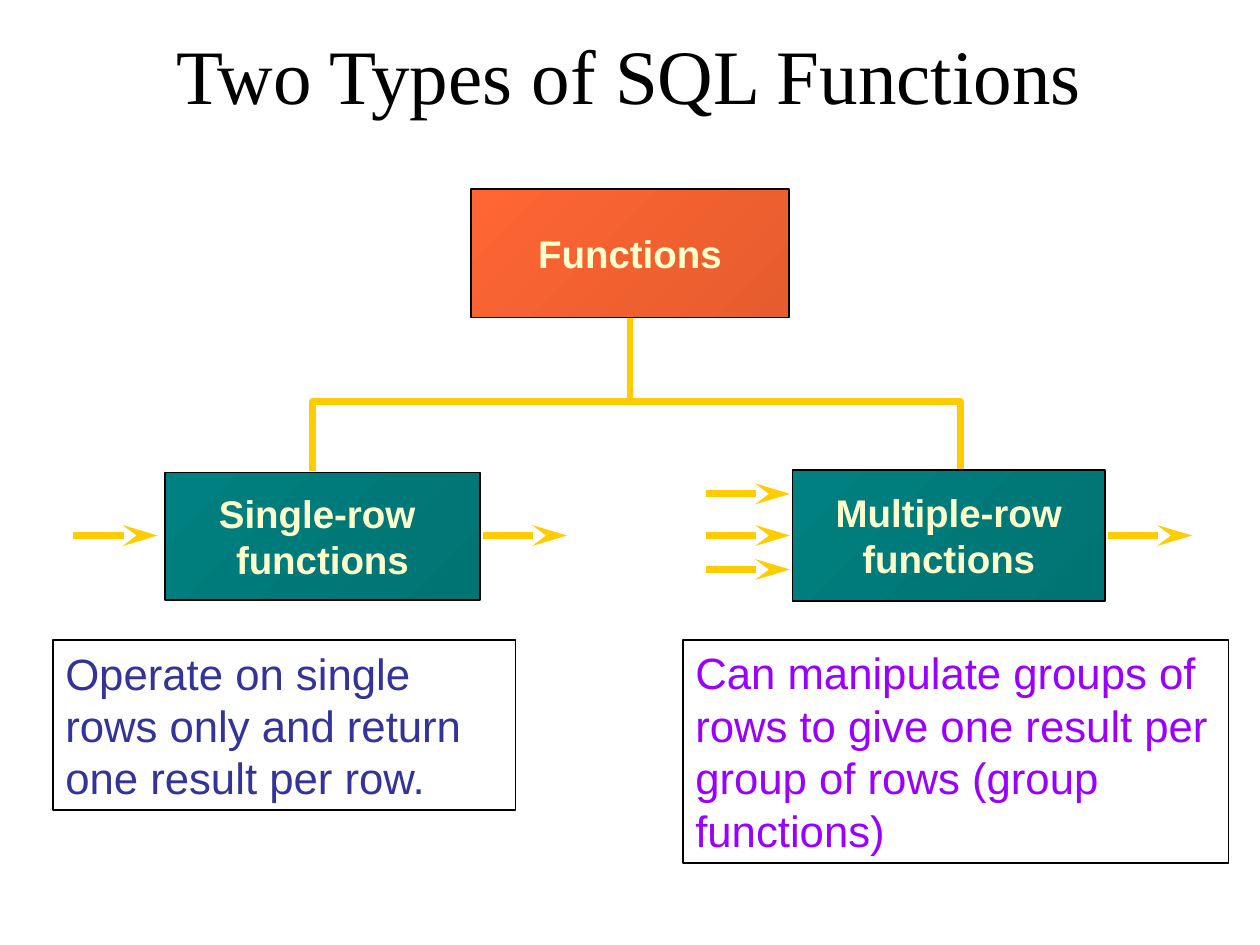
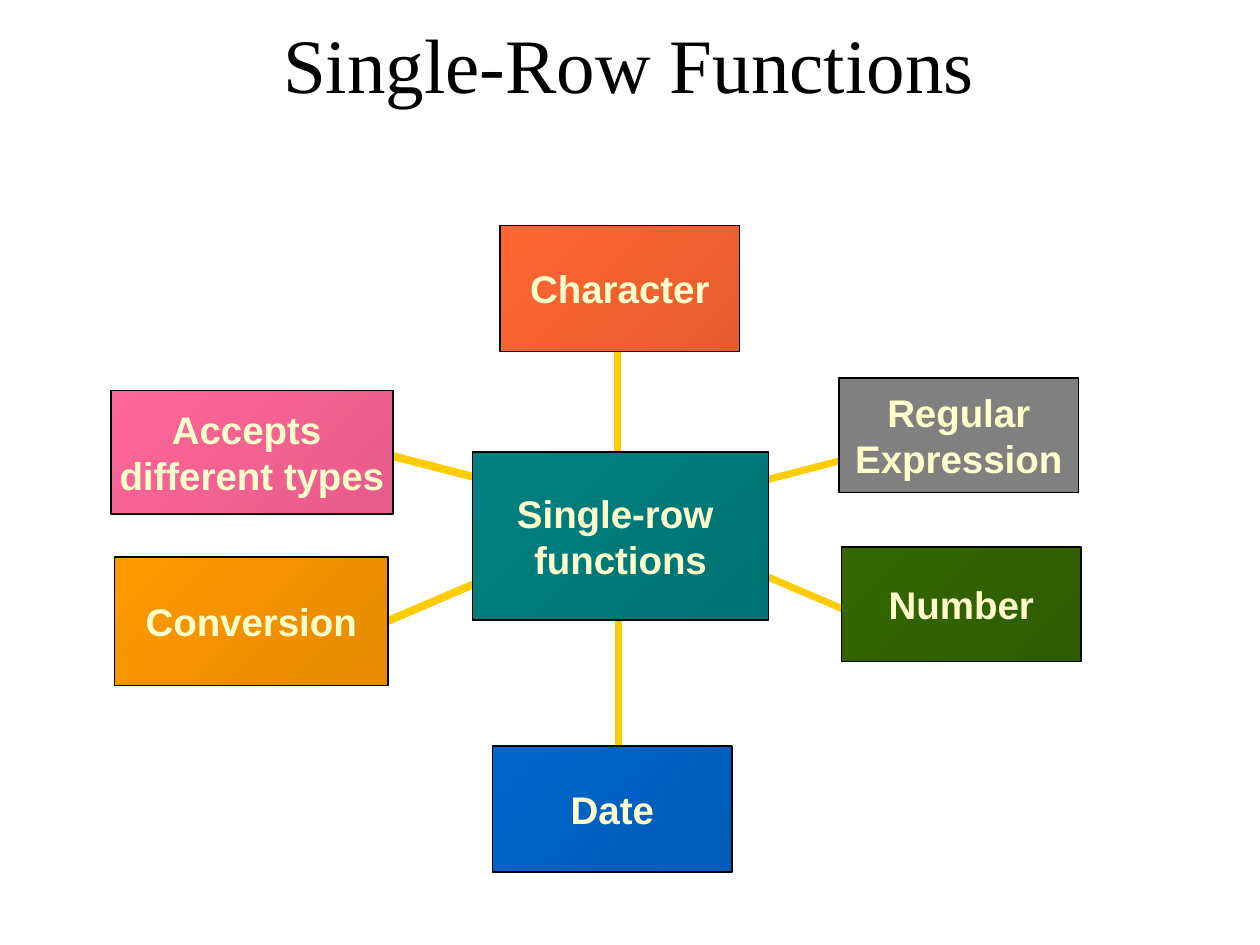
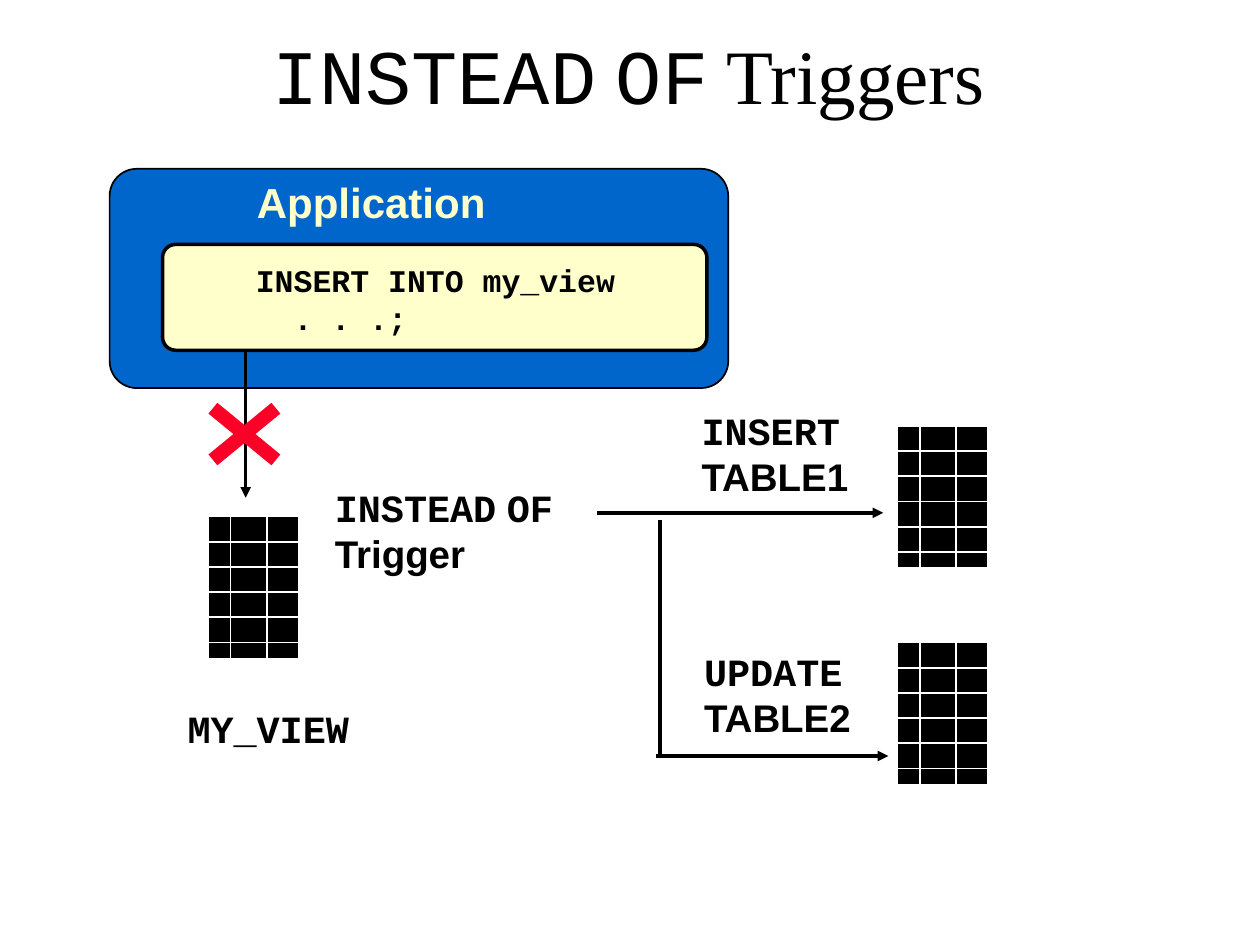
from dataclasses import dataclass

from lxml import etree
from pptx import Presentation
from pptx import util as u
from pptx.dml.color import RGBColor
from pptx.enum import shapes, text
from pptx.oxml.ns import qn


@dataclass(frozen=True)
class Theme:
    black: str = "000000"
    white: str = "FFFFFF"
    cream: str = "FFFFCC"
    gold: str = "FFCC00"
    orange: str = "FF6633"
    amber: str = "FF9900"
    teal: str = "008080"
    green: str = "336600"
    blue: str = "0066CC"
    pink: str = "FF6699"
    gray: str = "808080"
    red: str = "FC0128"
    indigo: str = "333399"
    violet: str = "9900FF"
    sans: str = "Arial"
    serif: str = "Times New Roman"
    mono: str = "Courier New"
    title_size: float = 44
    note_size: float = 25
    heading_size: float = 24
    label_size: float = 22
    code_size: float = 18
    branch_width: float = 4
    flow_width: float = 2


THEME = Theme()
RECT = shapes.MSO_SHAPE.RECTANGLE
ROUNDED = shapes.MSO_SHAPE.ROUNDED_RECTANGLE


def rgb(color):
    return RGBColor.from_string(color)


def inches(values):
    return [u.Inches(value) for value in values]


def darker(color):
    return RGBColor(*(round(channel * 0.9) for channel in rgb(color)))


def write(frame, lines, font, size, color, bold=False, align=text.PP_ALIGN.LEFT, wrap=True):
    """Fill a frame; a line is a string or a list of (words, font) pairs."""
    frame.word_wrap = wrap
    for index, line in enumerate(lines):
        paragraph = frame.paragraphs[0] if index == 0 else frame.add_paragraph()
        paragraph.alignment = align
        style = paragraph.font
        style.name, style.size, style.bold = font, u.Pt(size), bold
        style.color.rgb = rgb(color)
        if isinstance(line, str):
            paragraph.add_run().text = line
            continue
        for words, run_font in line:
            run = paragraph.add_run()
            run.text = words
            run.font.name = run_font


def keyword_line(keyword, rest, font):
    """Runs with the keyword's words in monospace, all spaces and the rest in font."""
    runs = []
    for word in keyword.split():
        runs += [(word, THEME.mono), (" ", font)]
    return runs + [(rest, font)]


def add_titled_slide(deck, title, top=0.17):
    slide = deck.slides.add_slide(deck.slide_layouts[5])
    holder = slide.shapes.title
    holder.left, holder.top, holder.width, holder.height = inches((0.94, top, 8.1, 0.96))
    holder.text_frame.vertical_anchor = text.MSO_ANCHOR.TOP
    write(holder.text_frame, [title], THEME.serif, THEME.title_size, THEME.black,
          align=text.PP_ALIGN.CENTER)
    return slide


def add_panel(slide, box, fill=None, outline=THEME.black, width=1, kind=RECT):
    panel = slide.shapes.add_shape(kind, *inches(box))
    panel.shadow.inherit = False
    if kind == ROUNDED:
        panel.adjustments[0] = 0.124
    if fill:
        panel.fill.solid()
        panel.fill.fore_color.rgb = rgb(fill)
    else:
        panel.fill.background()
    panel.line.color.rgb = rgb(outline)
    panel.line.width = u.Pt(width)
    return panel


def add_node(slide, box, lines, color, shaded=True):
    """Diagram box, shaded from the colour at top left to a darker tone."""
    node = add_panel(slide, box, color)
    if shaded:
        node.fill.gradient()
        node.fill.gradient_angle = 315
        start, end = node.fill.gradient_stops
        start.position, end.position = 0, 1
        start.color.rgb, end.color.rgb = rgb(color), darker(color)
    node.text_frame.vertical_anchor = text.MSO_ANCHOR.MIDDLE
    write(node.text_frame, lines, THEME.sans, THEME.label_size, THEME.cream, True,
          text.PP_ALIGN.CENTER, wrap=False)
    return node


def add_note(slide, box, words, color):
    note = add_panel(slide, box, width=0.75)
    note.text_frame.vertical_anchor = text.MSO_ANCHOR.TOP
    write(note.text_frame, [words], THEME.sans, THEME.note_size, color)


def add_label(slide, box, line, size=THEME.label_size, color=THEME.black, wrap=True):
    label = slide.shapes.add_textbox(*inches(box))
    write(label.text_frame, [line], THEME.sans, size, color, True, wrap=wrap)


def add_line(slide, start, end, color, width, head=None, head_length="med"):
    line = slide.shapes.add_connector(
        shapes.MSO_CONNECTOR.STRAIGHT, *inches((*start, *end)))
    line.line.color.rgb = rgb(color)
    line.line.width = u.Pt(width)
    if head:
        etree.SubElement(line.line._get_or_add_ln(), qn("a:tailEnd"),
                         type=head, w="med", len=head_length)
    etree.SubElement(line._element.spPr, qn("a:effectLst"))
    return line


def add_row_arrow(slide, left, y):
    add_line(slide, (left, y), (left + 0.67, y), THEME.gold, THEME.branch_width,
             "stealth", "lg")


def add_flow(slide, start, end, head="triangle"):
    add_line(slide, start, end, THEME.black, THEME.flow_width, head)


def add_table_icon(slide, left, top):
    width, height, row_height = 0.72, 1.13, 0.2
    add_panel(slide, (left, top, width, height), THEME.black, THEME.white)
    for offset in (0.18, 0.47):
        x = left + offset
        add_line(slide, (x, top), (x, top + height), THEME.white, 1)
    for row in range(1, 6):
        y = top + row * row_height
        add_line(slide, (left, y), (left + width, y), THEME.white, 1)


def add_fork(slide, points):
    first, *others = [inches(point) for point in points]
    builder = slide.shapes.build_freeform(*first)
    builder.add_line_segments(others, close=False)
    fork = builder.convert_to_shape()
    fork.shadow.inherit = False
    fork.fill.background()
    fork.line.color.rgb = rgb(THEME.gold)
    fork.line.width = u.Pt(THEME.branch_width)


def build_function_types(deck):
    slide = add_titled_slide(deck, "Two Types of SQL Functions")
    trunk = add_line(slide, (5, 2.52), (5, 3.21), THEME.gold, THEME.branch_width)
    add_fork(slide, [(2.48, 3.74), (2.48, 3.19), (7.62, 3.19), (7.62, 3.78)])
    functions = add_node(slide, (3.74, 1.5, 2.52, 1.02), ["Functions"], THEME.orange)
    trunk.begin_connect(functions, 2)
    add_node(slide, (1.31, 3.75, 2.5, 1.01), ["Single-row ", "functions"], THEME.teal)
    add_node(slide, (6.29, 3.73, 2.48, 1.04), ["Multiple-row", "functions"], THEME.teal)
    for left, y in [(0.58, 4.25), (3.83, 4.25), (8.79, 4.25),
                    (5.6, 3.92), (5.6, 4.25), (5.6, 4.52)]:
        add_row_arrow(slide, left, y)
    add_note(slide, (0.42, 5.08, 3.67, 1.35),
             "Operate on single rows only and return one result per row.", THEME.indigo)
    add_note(slide, (5.42, 5.08, 4.33, 1.77),
             "Can manipulate groups of rows to give one result per group of rows "
             "(group functions)", THEME.violet)


def build_single_row_functions(deck):
    slide = add_titled_slide(deck, "Single-Row Functions", top=0.08)
    spokes = [
        ((5.91, 4.5), (7.08, 5), 4),
        ((2.91, 5), (4.08, 4.5), 4.5),
        ((4.91, 6.14), (4.91, 4.59), 4),
        ((4.9, 4.11), (4.9, 2.56), 4),
        ((5.14, 4.14), (3, 3.59), 4.5),
        ((4.92, 4.11), (7.12, 3.54), 4),
    ]
    for start, end, width in spokes:
        add_line(slide, start, end, THEME.gold, width)
    nodes = [
        ((0.91, 4.42, 2.17, 1.02), ["Conversion"], THEME.amber),
        ((3.97, 1.79, 1.9, 1), ["Character"], THEME.orange),
        ((6.68, 4.34, 1.9, 0.91), ["Number"], THEME.green),
        ((3.91, 5.92, 1.9, 1), ["Date"], THEME.blue),
        ((0.88, 3.1, 2.24, 0.98), ["Accepts ", "different types"], THEME.pink),
        ((3.75, 3.59, 2.35, 1.33), ["Single-row ", "functions"], THEME.teal),
    ]
    for box, lines, color in nodes:
        add_node(slide, box, lines, color)
    add_node(slide, (6.66, 3, 1.9, 0.91), ["Regular", "Expression"], THEME.gray,
             shaded=False)


def build_instead_of_triggers(deck):
    slide = add_titled_slide(deck, keyword_line("INSTEAD OF", "Triggers", THEME.serif))
    add_panel(slide, (0.87, 1.34, 4.91, 1.74), THEME.blue, kind=ROUNDED)
    add_label(slide, (1.94, 1.35, 2.02, 0.5), "Application",
              THEME.heading_size, THEME.cream, wrap=False)
    statement = add_panel(slide, (1.29, 1.94, 4.32, 0.84), THEME.cream,
                          width=2, kind=ROUNDED)
    frame = statement.text_frame
    frame.vertical_anchor = text.MSO_ANCHOR.TOP
    frame.margin_top = frame.margin_bottom = u.Inches(0.1)
    frame.margin_left = u.Inches(0.71)
    write(frame, ["INSERT INTO my_view", "  . . .;"], THEME.mono, THEME.code_size,
          THEME.black, True)

    add_flow(slide, (1.95, 2.78), (1.95, 3.95))
    for bottom_x, top_x in [(1.69, 2.19), (2.19, 1.69)]:
        add_line(slide, (bottom_x, 3.65), (top_x, 3.24), THEME.red, 8)
    for left, top in [(1.65, 4.1), (7.12, 3.38), (7.12, 5.1)]:
        add_table_icon(slide, left, top)

    add_label(slide, (1.39, 5.55, 3, 0.47), [("MY_VIEW", THEME.mono)])
    # Each label is just narrow enough to wrap after its keyword.
    for box, keyword, name in [((2.56, 3.79, 2.8, 0.83), "INSTEAD OF", "Trigger"),
                               ((5.47, 3.18, 1.73, 0.83), "INSERT", "TABLE1"),
                               ((5.49, 5.09, 1.86, 0.83), "UPDATE", "TABLE2")]:
        add_label(slide, box, keyword_line(keyword, name, THEME.sans))

    add_flow(slide, (4.74, 4.07), (7.01, 4.07))
    add_flow(slide, (5.24, 6), (5.24, 4.13), head=None)
    add_flow(slide, (5.21, 6), (7.05, 6))


def main():
    deck = Presentation()
    deck.slide_width, deck.slide_height = inches((10, 7.5))
    build_function_types(deck)
    build_single_row_functions(deck)
    build_instead_of_triggers(deck)
    deck.save("out.pptx")


if __name__ == "__main__":
    main()
